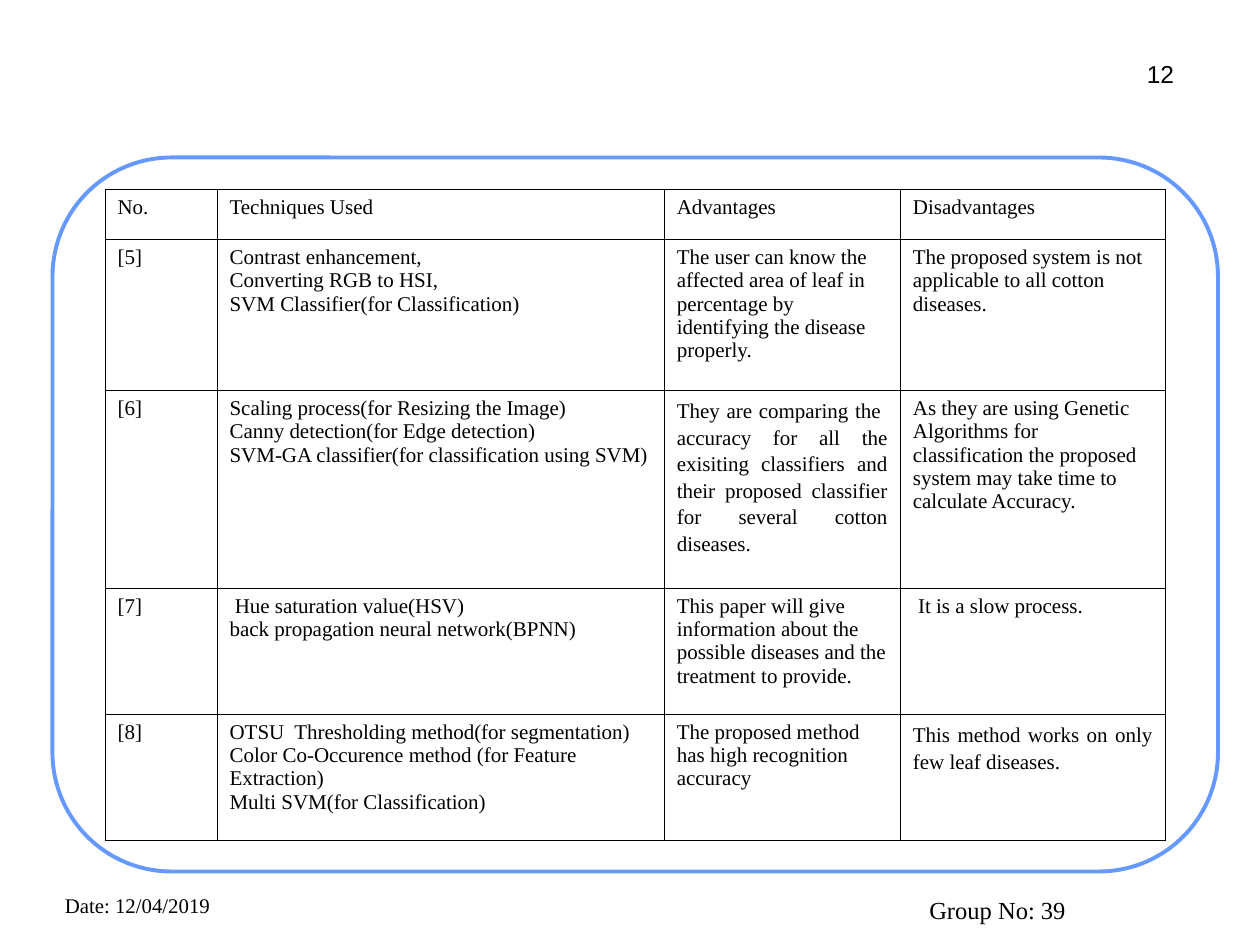
from dataclasses import dataclass

from lxml import etree
from pptx import Presentation
from pptx.dml.color import RGBColor
from pptx.enum.shapes import MSO_SHAPE
from pptx.enum.text import PP_ALIGN
from pptx.oxml.ns import qn
from pptx.util import Pt

LEFT, CENTER, RIGHT = PP_ALIGN.LEFT, PP_ALIGN.CENTER, PP_ALIGN.RIGHT
JUSTIFY = PP_ALIGN.JUSTIFY
ROUNDED_RECTANGLE = MSO_SHAPE.ROUNDED_RECTANGLE
BLANK_LAYOUT = 6


@dataclass(frozen=True)
class Theme:
    ink: str = "000000"
    paper: str = "FFFFFF"
    frame: str = "6699FF"
    serif: str = "Times New Roman"
    sans: str = "Arial"
    table_size: float = 12
    date_size: float = 11.9
    label_size: float = 14
    frame_width: float = 2.25
    border_width: float = 0.45


THEME = Theme()

COLUMN_WIDTHS = (64, 255.6, 134.9, 151.5)
ROW_HEIGHTS = (28.8, 86.4, 113, 72, 72)
JUSTIFIED_CELLS = {(2, 2), (4, 3)}
ROWS = (
    ("No.", "Techniques Used", "Advantages", "Disadvantages"),
    ("[5]",
     "Contrast enhancement,\nConverting RGB to HSI,\nSVM Classifier(for Classification)",
     "The user can know the affected area of leaf in percentage by "
     "identifying the disease properly.",
     "The proposed system is not applicable to all cotton diseases."),
    ("[6]",
     "Scaling process(for Resizing the Image)\nCanny detection(for Edge detection)\n"
     "SVM-GA classifier(for classification using SVM)",
     "They are comparing the  accuracy for all the exisiting classifiers and "
     "their proposed classifier for several cotton diseases.",
     "As they are using Genetic Algorithms for classification the proposed "
     "system may take time to calculate Accuracy."),
    ("[7]",
     " Hue saturation value(HSV)\nback propagation neural network(BPNN)",
     "This paper will give information about the possible diseases and the "
     "treatment to provide.",
     " It is a slow process."),
    ("[8]",
     "OTSU  Thresholding method(for segmentation)\n"
     "Color Co-Occurence method (for Feature Extraction)\n"
     "Multi SVM(for Classification)",
     "The proposed method has high recognition accuracy",
     "This method works on only few leaf diseases."),
)


def color(value):
    return RGBColor.from_string(value)


def format_runs(paragraph, font_name, size):
    for run in paragraph.runs:
        run.font.name = font_name
        run.font.size = Pt(size)
        run.font.color.rgb = color(THEME.ink)


def add_frame(slide, left, top, width, height):
    shape = slide.shapes.add_shape(
        ROUNDED_RECTANGLE, Pt(left), Pt(top), Pt(width), Pt(height))
    shape.shadow.inherit = False
    shape.fill.solid()
    shape.fill.fore_color.rgb = color(THEME.paper)
    shape.line.color.rgb = color(THEME.frame)
    shape.line.width = Pt(THEME.frame_width)


def add_label(slide, box, text, size, font_name=THEME.serif, alignment=LEFT, spacing=1.0):
    text_frame = slide.shapes.add_textbox(*map(Pt, box)).text_frame
    text_frame.word_wrap = True
    text_frame.text = text
    paragraph = text_frame.paragraphs[0]
    paragraph.alignment = alignment
    paragraph.line_spacing = spacing
    format_runs(paragraph, font_name, size)


def add_borders(cell):
    properties = cell._tc.get_or_add_tcPr()
    for side in ("a:lnL", "a:lnR", "a:lnT", "a:lnB"):
        line = etree.SubElement(properties, qn(side), w=str(Pt(THEME.border_width)))
        fill = etree.SubElement(line, qn("a:solidFill"))
        etree.SubElement(fill, qn("a:srgbClr"), val=THEME.ink)


def fill_cell(cell, text, justified):
    add_borders(cell)
    cell.fill.solid()
    cell.fill.fore_color.rgb = color(THEME.paper)
    cell.text_frame.text = text
    for paragraph in cell.text_frame.paragraphs:
        if justified:
            paragraph.alignment = JUSTIFY
            paragraph.line_spacing = 1.14
            paragraph.space_after = Pt(10)
        format_runs(paragraph, THEME.serif, THEME.table_size)


def add_comparison_table(slide, left, top):
    table = slide.shapes.add_table(
        len(ROWS), len(COLUMN_WIDTHS), Pt(left), Pt(top),
        Pt(sum(COLUMN_WIDTHS)), Pt(sum(ROW_HEIGHTS))).table
    table.first_row = False
    table.horz_banding = False
    for column, width in zip(table.columns, COLUMN_WIDTHS):
        column.width = Pt(width)
    for row, height in zip(table.rows, ROW_HEIGHTS):
        row.height = Pt(height)
    for i, texts in enumerate(ROWS):
        for j, text in enumerate(texts):
            fill_cell(table.cell(i, j), text, (i, j) in JUSTIFIED_CELLS)


def main():
    presentation = Presentation()
    presentation.slide_width, presentation.slide_height = Pt(720), Pt(540)
    slide = presentation.slides.add_slide(presentation.slide_layouts[BLANK_LAYOUT])

    # Rounded frame behind the table
    add_frame(slide, 30, 90, 666, 408)

    # Footer and page number
    add_label(slide, (30, 508, 168, 37.5), "Date: 12/04/2019", THEME.date_size, spacing=0.9)
    add_label(slide, (456, 508, 228, 37.5), "Group No: 39", THEME.label_size, alignment=CENTER)
    add_label(slide, (552, 30, 126, 37.5), "12", THEME.label_size, THEME.sans, RIGHT)

    # Comparison of techniques
    add_comparison_table(slide, 60, 108)

    presentation.save("out.pptx")


if __name__ == "__main__":
    main()
